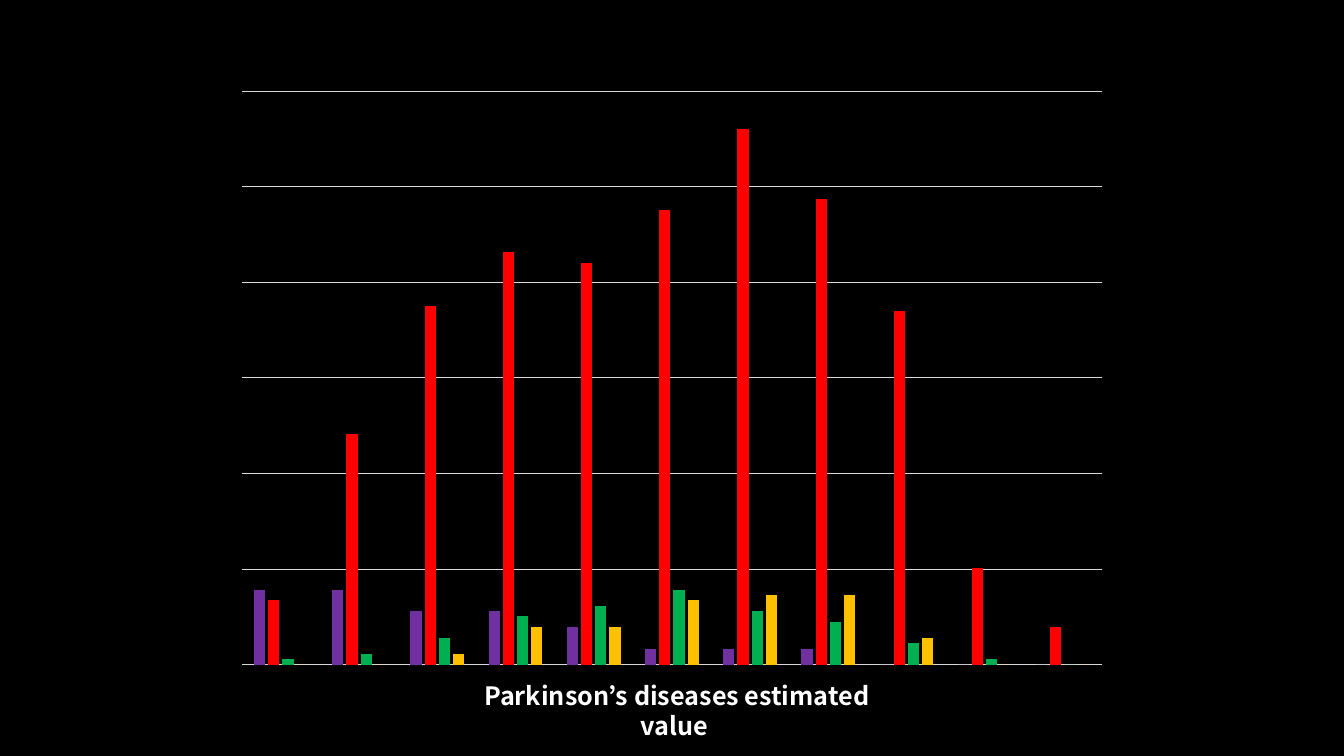
from pptx import Presentation
from pptx.chart.data import CategoryChartData
from pptx.dml.color import RGBColor
from pptx.enum.chart import XL_CHART_TYPE
from pptx.enum.text import MSO_AUTO_SIZE, PP_ALIGN
from pptx.util import Pt

FONT = "Noto Sans CJK KR"
BLACK = RGBColor(0x00, 0x00, 0x00)
WHITE = RGBColor(0xFF, 0xFF, 0xFF)
GRID_GREY = RGBColor(0xD9, 0xD9, 0xD9)
PURPLE = RGBColor(0x70, 0x30, 0xA0)
RED = RGBColor(0xFF, 0x00, 0x00)
GREEN = RGBColor(0x00, 0xB0, 0x50)
AMBER = RGBColor(0xFF, 0xC0, 0x00)

GRID_STEP = 17.85
GRID_INTERVALS = 6
SERIES = [
    ("Series 1", PURPLE, (14, 14, 10, 10, 7, 3, 3, 3, 0, 0, 0)),
    ("Series 2", RED, (12, 43, 67, 77, 75, 85, 100, 87, 66, 18, 7)),
    ("Series 3", GREEN, (1, 2, 5, 9, 11, 14, 10, 8, 4, 1, 0)),
    ("Series 4", AMBER, (0, 0, 2, 7, 7, 12, 13, 13, 5, 0, 0)),
]


def add_estimate_chart(slide, left, top, width, height):
    chart_data = CategoryChartData()
    chart_data.categories = [str(number) for number in range(1, 12)]
    for name, _, values in SERIES:
        chart_data.add_series(name, values)
    chart = slide.shapes.add_chart(
        XL_CHART_TYPE.COLUMN_CLUSTERED,
        Pt(left), Pt(top), Pt(width), Pt(height), chart_data,
    ).chart
    chart.has_title = False
    chart.has_legend = False
    chart.font.name = FONT
    chart.font.size = Pt(10)
    chart.font.color.rgb = BLACK

    chart.category_axis.visible = False
    value_axis = chart.value_axis
    value_axis.visible = False
    value_axis.minimum_scale = 0
    value_axis.maximum_scale = round(GRID_STEP * GRID_INTERVALS, 2)
    value_axis.major_unit = GRID_STEP
    value_axis.has_major_gridlines = True
    grid_line = value_axis.major_gridlines.format.line
    grid_line.color.rgb = GRID_GREY
    grid_line.width = Pt(0.75)

    plot = chart.plots[0]
    plot.vary_by_categories = False
    plot.gap_width = 219
    plot.overlap = -27
    for series, (_, color, _) in zip(plot.series, SERIES):
        series.invert_if_negative = False
        series.format.fill.solid()
        series.format.fill.fore_color.rgb = color


def add_caption(slide, left, top, width, height):
    caption = slide.shapes.add_textbox(Pt(left), Pt(top), Pt(width), Pt(height))
    text_frame = caption.text_frame
    text_frame.word_wrap = True
    text_frame.auto_size = MSO_AUTO_SIZE.SHAPE_TO_FIT_TEXT
    paragraph = text_frame.paragraphs[0]
    paragraph.alignment = PP_ALIGN.CENTER
    run = paragraph.add_run()
    run.text = "Parkinson\u2019s diseases estimated value "
    run.font.name = FONT
    run.font.size = Pt(18)
    run.font.bold = True
    run.font.color.rgb = WHITE


presentation = Presentation()
presentation.slide_width = Pt(960)
presentation.slide_height = Pt(540)
slide = presentation.slides.add_slide(presentation.slide_layouts[6])
slide.background.fill.solid()
slide.background.fill.fore_color.rgb = BLACK
add_estimate_chart(slide, 160, 56.67, 640, 426.67)
add_caption(slide, 314, 482.5, 339, 29)
presentation.save("out.pptx")
